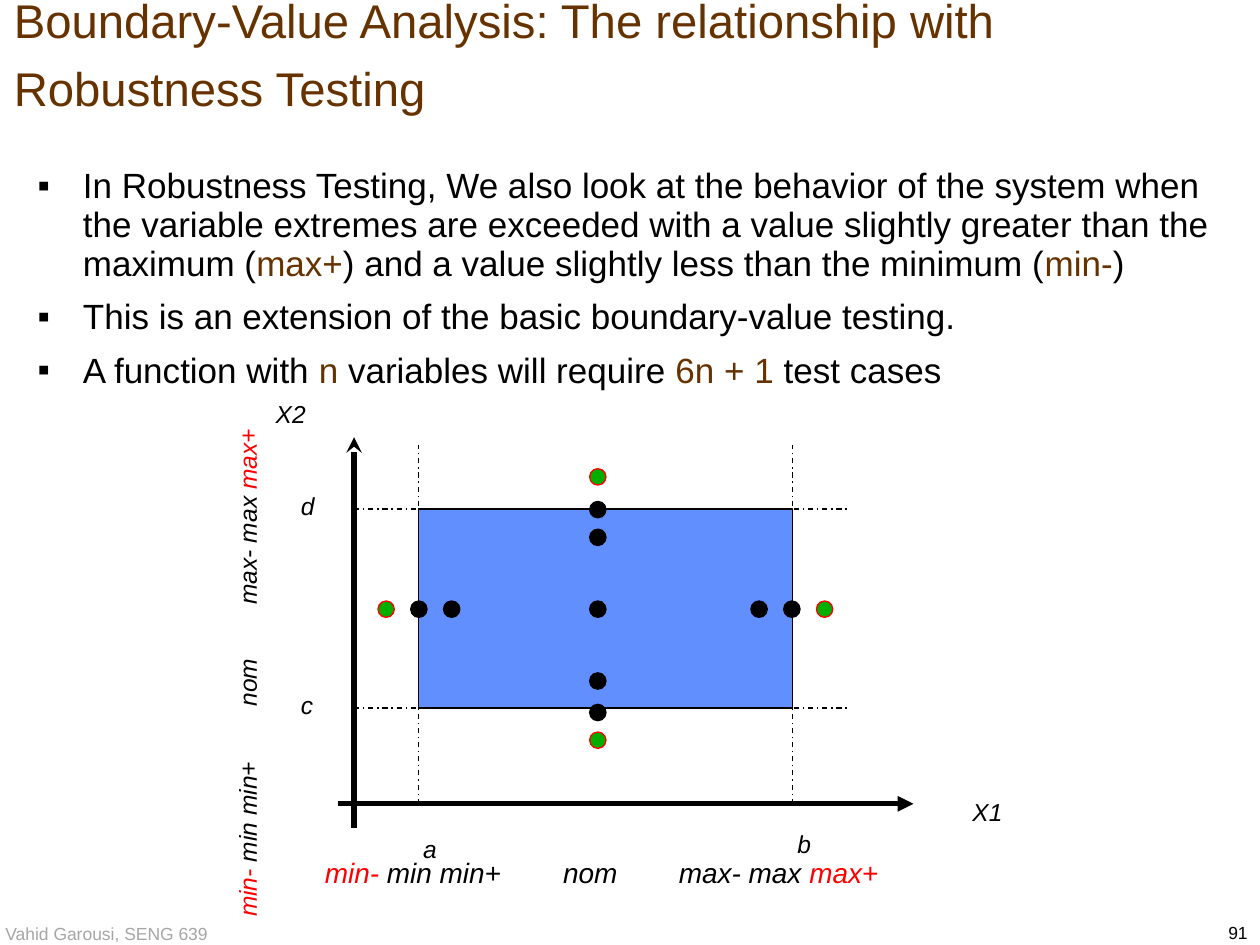
from dataclasses import dataclass

from lxml.etree import SubElement
from pptx import Presentation
from pptx.dml.color import RGBColor
from pptx.enum.dml import MSO_LINE
from pptx.enum.shapes import MSO_CONNECTOR, MSO_SHAPE
from pptx.enum.text import MSO_ANCHOR, MSO_AUTO_SIZE, PP_ALIGN
from pptx.oxml.ns import qn
from pptx.util import Pt

PX = 9144  # 100 px to the inch
BLACK, BROWN, RED = "000000", "663300", "FF0000"
GREEN, BLUE, GREY = "00AE00", "618FFD", "A6A6A6"
DOT = 13
MID_X, MID_Y = 468, 477  # left and top of the dots on the nominal lines

Run = tuple[str, str]


@dataclass
class Box:
    x: int
    y: int
    w: int
    h: int

    def emu(self) -> list[int]:
        return [v * PX for v in (self.x, self.y, self.w, self.h)]


@dataclass
class Label:
    text: str
    box: Box


@dataclass
class Line:
    x1: int
    y1: int
    x2: int
    y2: int
    head: str = ""


@dataclass
class Scale:
    """Value names along one axis, with the tab stops of its groups."""
    box: Box
    size: int
    tabs: tuple[int, int]
    turn: int


LINES = [
    Line(281, 657, 281, 347, "stealth"),
    Line(268, 638, 725, 638, "triangle"),
    *[Line(281, y, 674, y) for y in (404, 562)],
    *[Line(x, 638, x, 353) for x in (332, 629)],
]
LABELS = [
    Label("d", Box(229, 385, 32, 33)),
    Label("c", Box(229, 543, 31, 33)),
    Label("X1", Box(762, 628, 44, 33)),
    Label("X2", Box(209, 312, 44, 33)),
    Label("a", Box(326, 657, 31, 33)),
    Label("b", Box(623, 653, 32, 33)),
]
INNER = [(MID_X, y) for y in (398, 420, MID_Y, 534, 559)]
INNER += [(x, MID_Y) for x in (326, 352, 596, 622)]
OUTER = [(MID_X, 372), (MID_X, 581), (300, MID_Y), (648, MID_Y)]
SCALES = [
    Scale(Box(248, 674, 551, 37), 16, (189, 281), 0),
    Scale(Box(-79, 445, 551, 34), 14, (167, 248), 270),
]
SCALE_RUNS = [("min- ", RED), ("min min+\tnom\tmax- max ", BLACK), ("max+", RED)]
POINTS = [
    [("In Robustness Testing, We also look at the behavior of the system when "
      "the variable extremes are exceeded with a value slightly greater than "
      "the maximum (", BLACK), ("max+", BROWN),
     (") and a value slightly less than the minimum (", BLACK),
     ("min-", BROWN), (")", BLACK)],
    [("This is an extension of the basic boundary-value testing.", BLACK)],
    [("A function with ", BLACK), ("n ", BROWN),
     ("variables will require ", BLACK), ("6n + 1", BROWN),
     (" test cases", BLACK)],
]


def color(code: str) -> RGBColor:
    return RGBColor.from_string(code)


def write(para, runs: list[Run], size: int, italic: bool = False) -> None:
    for text, code in runs:
        run = para.add_run()
        run.text = text
        font = run.font
        font.name, font.size, font.italic = "Arial", Pt(size), italic
        font.color.rgb = color(code)


def add_text(slide, box: Box, wrap: bool = True):
    shape = slide.shapes.add_textbox(*box.emu())
    shape.text_frame.word_wrap = wrap
    return shape


def add_title(slide) -> None:
    title = slide.shapes.title
    title.left, title.top, title.width, title.height = Box(1, 1, 999, 74).emu()
    frame = title.text_frame
    frame.word_wrap, frame.auto_size = True, MSO_AUTO_SIZE.NONE
    frame.vertical_anchor = MSO_ANCHOR.MIDDLE
    para = frame.paragraphs[0]
    para.alignment, para.line_spacing = PP_ALIGN.LEFT, 1.2
    write(para, [("Boundary-Value Analysis: The relationship with "
                  "Robustness Testing", BROWN)], 27)


def add_bullet(para) -> None:
    props = para._p.get_or_add_pPr()
    props.set("marL", str(36 * PX))
    props.set("indent", str(-36 * PX))
    tint = SubElement(props, qn("a:buClr"))
    SubElement(tint, qn("a:srgbClr"), val=BLACK)
    SubElement(props, qn("a:buFont"), typeface="Arial")
    SubElement(props, qn("a:buChar"), char="▪")


def add_points(slide) -> None:
    frame = add_text(slide, Box(20, 128, 953, 192)).text_frame
    for i, runs in enumerate(POINTS):
        para = frame.add_paragraph() if i else frame.paragraphs[0]
        add_bullet(para)
        para.line_spacing = 0.93
        para.space_before = Pt(8 if i else 0)
        write(para, runs, 20)


def add_line(slide, item: Line) -> None:
    ends = [v * PX for v in (item.x1, item.y1, item.x2, item.y2)]
    shape = slide.shapes.add_connector(MSO_CONNECTOR.STRAIGHT, *ends)
    shape.line.color.rgb = color(BLACK)
    shape.line.width = Pt(3 if item.head else 0.75)
    if item.head:
        SubElement(shape.line._get_or_add_ln(), qn("a:tailEnd"), type=item.head)
    else:
        shape.line.dash_style = MSO_LINE.DASH_DOT
    SubElement(shape._element.spPr, qn("a:effectLst"))


def add_shape(slide, kind: MSO_SHAPE, box: Box, fill: str, edge: str) -> None:
    shape = slide.shapes.add_shape(kind, *box.emu())
    shape.shadow.inherit = False
    shape.fill.solid()
    shape.fill.fore_color.rgb = color(fill)
    shape.line.color.rgb = color(edge)
    shape.line.width = Pt(0.75)


def add_dots(slide, spots: list[tuple[int, int]], fill: str, edge: str) -> None:
    for x, y in spots:
        add_shape(slide, MSO_SHAPE.OVAL, Box(x, y, DOT, DOT), fill, edge)


def add_scale(slide, item: Scale) -> None:
    shape = add_text(slide, item.box)
    shape.rotation = item.turn
    para = shape.text_frame.paragraphs[0]
    stops = SubElement(para._p.get_or_add_pPr(), qn("a:tabLst"))
    for stop in item.tabs:
        SubElement(stops, qn("a:tab"), pos=str(stop * PX), algn="l")
    write(para, SCALE_RUNS, item.size, True)


def add_footer(slide, label: Label, code: str, align: PP_ALIGN) -> None:
    frame = add_text(slide, label.box).text_frame
    frame.vertical_anchor = MSO_ANCHOR.MIDDLE
    para = frame.paragraphs[0]
    para.alignment = align
    write(para, [(label.text, code)], 10)


def main() -> None:
    deck = Presentation()
    deck.slide_width, deck.slide_height = 1000 * PX, 750 * PX
    slide = deck.slides.add_slide(deck.slide_layouts[5])
    add_footer(slide, Label("91", Box(875, 727, 125, 27)), BLACK, PP_ALIGN.RIGHT)
    add_footer(slide, Label("Vahid Garousi, SENG 639", Box(-12, 725, 193, 32)),
               GREY, PP_ALIGN.CENTER)
    add_title(slide)
    add_points(slide)
    for line in LINES:
        add_line(slide, line)
    add_shape(slide, MSO_SHAPE.RECTANGLE, Box(332, 404, 297, 158), BLUE, BLACK)
    for label in LABELS:
        frame = add_text(slide, label.box, wrap=False).text_frame
        frame.auto_size = MSO_AUTO_SIZE.SHAPE_TO_FIT_TEXT
        write(frame.paragraphs[0], [(label.text, BLACK)], 14, True)
    add_dots(slide, INNER, BLACK, BLACK)
    add_dots(slide, OUTER, GREEN, RED)
    for scale in SCALES:
        add_scale(slide, scale)
    deck.save("out.pptx")


if __name__ == "__main__":
    main()
